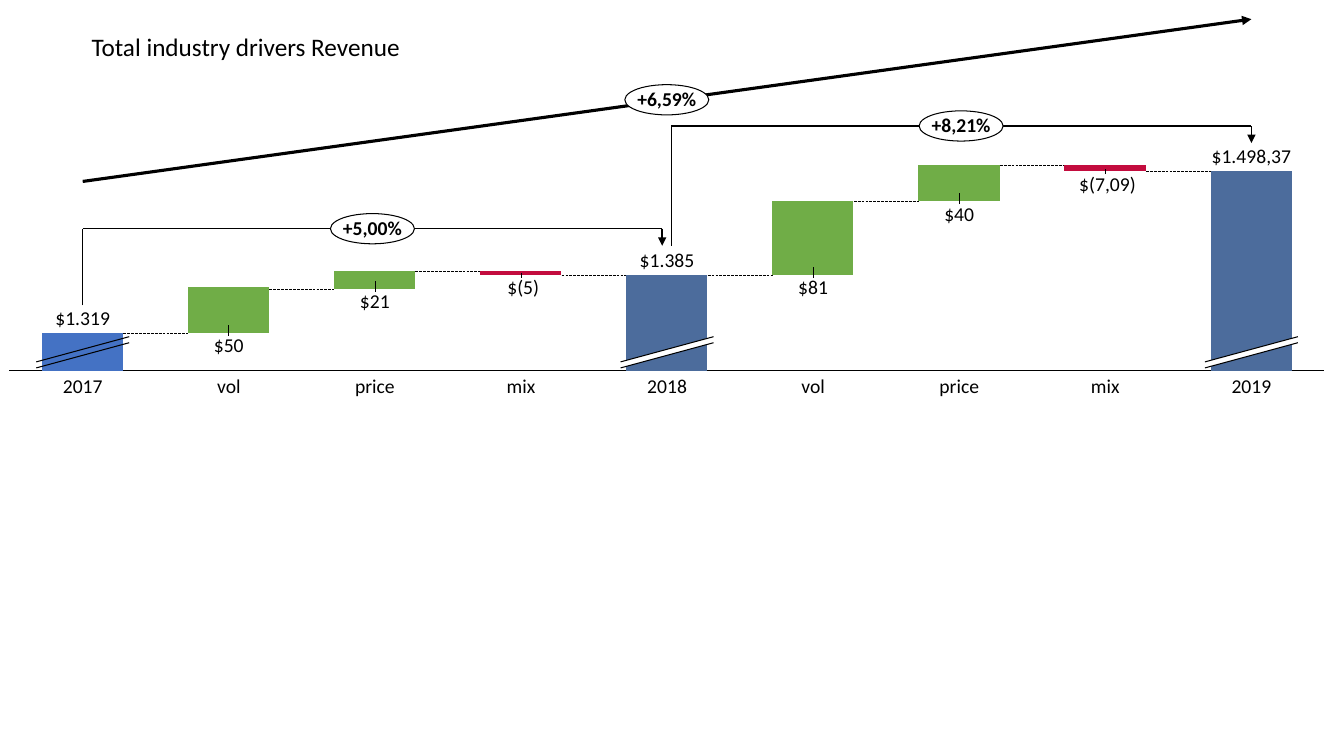
from dataclasses import dataclass

from pptx import Presentation
from pptx.chart.data import CategoryChartData
from pptx.dml.color import RGBColor
from pptx.enum.chart import XL_CHART_TYPE, XL_TICK_LABEL_POSITION, XL_TICK_MARK
from pptx.enum.dml import MSO_LINE
from pptx.enum.shapes import MSO_CONNECTOR, MSO_SHAPE
from pptx.enum.text import MSO_ANCHOR, MSO_AUTO_SIZE, PP_ALIGN
from pptx.oxml import parse_xml
from pptx.oxml.ns import nsdecls, qn
from pptx.util import Pt

STACKED = XL_CHART_TYPE.COLUMN_STACKED
NO_LABELS, NO_TICKS = XL_TICK_LABEL_POSITION.NONE, XL_TICK_MARK.NONE
STRAIGHT, ELLIPSE, DASH = MSO_CONNECTOR.STRAIGHT, MSO_SHAPE.OVAL, MSO_LINE.LONG_DASH
TOP, MIDDLE, BOTTOM = MSO_ANCHOR.TOP, MSO_ANCHOR.MIDDLE, MSO_ANCHOR.BOTTOM
CENTER, LEFT = PP_ALIGN.CENTER, PP_ALIGN.LEFT
GROW = MSO_AUTO_SIZE.SHAPE_TO_FIT_TEXT


@dataclass(frozen=True)
class Theme:
    font: str = "Calibri"
    black: RGBColor = RGBColor(0, 0, 0)
    white: RGBColor = RGBColor(255, 255, 255)
    first_total: RGBColor = RGBColor(0x44, 0x72, 0xC4)
    total: RGBColor = RGBColor(0x4C, 0x6C, 0x9C)
    rise: RGBColor = RGBColor(0x70, 0xAD, 0x47)
    fall: RGBColor = RGBColor(0xC3, 0x0C, 0x3E)
    title: int = 18
    label: int = 14
    chart: int = 10


T = Theme()

# Waterfall columns: category, its label width, value text, value label width
COLUMNS = [
    ("2017", 29.5, " $1.319 ", 49.7),
    ("vol", 18, " $50 ", 31.7),
    ("price", 29.5, " $21 ", 31.7),
    ("mix", 21.6, " $(5)", 29.5),
    ("2018", 29.5, " $1.385 ", 49.7),
    ("vol", 18, " $81 ", 31.7),
    ("price", 29.5, " $40 ", 31.7),
    ("mix", 21.6, " $(7,09)", 47.5),
    ("2019", 29.5, " $1.498,37 ", 67),
]
BASES = [19, 19, 41, 48, 48, 48, 85, 100, 100]
DELTAS = [None, 23, 9, 2, None, 37, 18, 3, None]
LINK_LEVELS = [19, 41, 50, 48, 48, 85, 103, 100]
AXIS_MAX = 103
TOTALS = [0, 4, 8]
FALLS = [3, 7]
FIRST_X, PITCH, BAR_W = 59.1, 104.35, 58
BASELINE, UNIT = 264.8, 1.426
LABEL_H = 15.1


def center_x(i):
    return FIRST_X + PITCH * i


def level_y(value):
    return BASELINE - UNIT * value


def apply(target, values):
    for name, value in values.items():
        setattr(target, name, value)


def paint(fill, color):
    fill.solid()
    fill.fore_color.rgb = color


def add_line(s, x1, y1, x2, y2, width, arrow=False, dash=None):
    c = s.shapes.add_connector(STRAIGHT, Pt(x1), Pt(y1), Pt(x2), Pt(y2))
    c.line.color.rgb = T.black
    c.line.width = Pt(width)
    if dash:
        c.line.dash_style = dash
    if arrow:
        c.line._get_or_add_ln().append(parse_xml(f'<a:tailEnd {nsdecls("a")} type="triangle"/>'))
    c._element.spPr.append(parse_xml(f'<a:effectLst {nsdecls("a")}/>'))


def write(sp, text, size=T.label, bold=False, anchor=TOP, align=CENTER, spacing=0.9):
    tf = sp.text_frame
    apply(tf, dict(margin_left=0, margin_right=0, margin_top=0, margin_bottom=0,
                   word_wrap=False, vertical_anchor=anchor))
    p = tf.paragraphs[0]
    apply(p, dict(alignment=align, line_spacing=spacing))
    r = p.add_run()
    r.text = text
    apply(r.font, dict(name=T.font, size=Pt(size), bold=bold))
    r.font.color.rgb = T.black


def add_label(s, text, cx, top, width, anchor=TOP):
    sp = s.shapes.add_textbox(Pt(cx - width / 2), Pt(top), Pt(width), Pt(LABEL_H))
    write(sp, text, anchor=anchor)


def add_growth(s, text, cx, cy, w=60, h=21.6):
    sp = s.shapes.add_shape(ELLIPSE, Pt(cx - w / 2), Pt(cy - h / 2), Pt(w), Pt(h))
    sp.shadow.inherit = False
    paint(sp.fill, T.white)
    sp.line.color.rgb = T.black
    sp.line.width = Pt(0.75)
    write(sp, text, bold=True, anchor=MIDDLE)


def add_outline(s, points, closed):
    fb = s.shapes.build_freeform(*map(Pt, points[0]), scale=1.0)
    fb.add_line_segments([(Pt(x), Pt(y)) for x, y in points[1:]], close=closed)
    sp = fb.convert_to_shape()
    sp.shadow.inherit = False
    if closed:
        paint(sp.fill, T.white)
        sp.line.fill.background()
    else:
        sp.fill.background()
        sp.line.color.rgb = T.black
        sp.line.width = Pt(0.75)


def add_axis_break(s, cx, filled):
    left, right = cx - 33.2, cx + 33.2
    upper = [(left, 258.5), (right, 240.5)]
    lower = [(left, 262.8), (right, 244.8)]
    if filled:
        add_outline(s, upper + lower[::-1], True)
    for edge in (upper, lower):
        add_outline(s, edge, False)


def add_bracket(s, x1, start, x2, top):
    add_line(s, x2, top, x2, top + 12.2, 1, arrow=True)
    add_line(s, x1, top, x2, top, 1)
    add_line(s, x1, start, x1, top, 1)


def add_waterfall(s):
    data = CategoryChartData()
    data.categories = [str(i + 1) for i in range(len(COLUMNS))]
    data.add_series("Series 1", BASES)
    data.add_series("Series 2", DELTAS)
    chart = s.shapes.add_chart(STACKED, Pt(0), Pt(111.6), Pt(952.6), Pt(159.8), data).chart
    apply(chart, dict(has_legend=False, has_title=False))
    apply(chart.font, dict(name=T.font, size=Pt(T.chart)))
    chart.font.color.rgb = T.black

    cat, val = chart.category_axis, chart.value_axis
    apply(cat, dict(tick_label_position=NO_LABELS, major_tick_mark=NO_TICKS,
                    minor_tick_mark=NO_TICKS, has_major_gridlines=False))
    cat.format.line.color.rgb = T.black
    cat.format.line.width = Pt(0.75)
    apply(val, dict(visible=False, has_major_gridlines=False,
                    minimum_scale=0, maximum_scale=AXIS_MAX))

    plot = chart.plots[0]
    apply(plot, dict(gap_width=80, overlap=100, vary_by_categories=False))
    base, delta = plot.series
    base.format.fill.background()
    paint(delta.format.fill, T.rise)
    for i in TOTALS:
        paint(base.points[i].format.fill, T.total if i else T.first_total)
    for i in FALLS:
        paint(delta.points[i].format.fill, T.fall)

    # Fixed inner plot area
    area = chart._chartSpace.chart.plotArea
    for old in area.findall(qn("c:layout")):
        area.remove(old)
    sizes = dict(x=0.007, y=0.041, w=0.986, h=0.919)
    places = "".join(f'<c:{k} val="{v}"/>' for k, v in sizes.items())
    area.insert(0, parse_xml(
        f'<c:layout {nsdecls("c")}><c:manualLayout><c:layoutTarget val="inner"/>'
        f'<c:xMode val="edge"/><c:yMode val="edge"/>{places}</c:manualLayout></c:layout>'))


def main():
    prs = Presentation()
    apply(prs, dict(slide_width=Pt(960), slide_height=Pt(540)))
    s = prs.slides.add_slide(prs.slide_layouts[6])

    # Links between bars, then the bars
    for i, level in enumerate(LINK_LEVELS):
        y = level_y(level)
        add_line(s, center_x(i) + BAR_W / 2, y, center_x(i + 1) - BAR_W / 2, y, 0.25, dash=DASH)
    add_waterfall(s)
    for i in TOTALS:
        add_axis_break(s, center_x(i), filled=i > 0)

    # Growth arrows
    add_bracket(s, center_x(0), 218.2, 473, 163.4)
    add_line(s, center_x(0), 129.6, center_x(8), 13.7, 2.25, arrow=True)
    add_bracket(s, 479.5, 175.7, center_x(8), 90)

    # Category and value labels
    for i, (name, name_w, value, value_w) in enumerate(COLUMNS):
        cx, y = center_x(i), level_y(BASES[i])
        add_label(s, name, cx, 269.3, name_w)
        if i in TOTALS:
            add_label(s, value, cx, y - 2.2 - LABEL_H, value_w, BOTTOM)
        else:
            add_line(s, cx, y + 2.2, cx, y - (1.5 if i in FALLS else 5.8), 0.5)
            add_label(s, value, cx, y + 2.2, value_w)

    # Growth rates and title
    for text, cx, cy in [("+5,00%", 266, 163.4), ("+6,59%", 476.3, 71.3), ("+8,21%", 686.5, 90)]:
        add_growth(s, text, cx, cy)
    title = s.shapes.add_textbox(Pt(58.3), Pt(18.7), Pt(486), Pt(29))
    write(title, "Total industry drivers Revenue", T.title, align=LEFT, spacing=1.0)
    apply(title.text_frame, dict(margin_left=Pt(7.2), margin_right=Pt(7.2), margin_top=Pt(3.6),
                                 margin_bottom=Pt(3.6), word_wrap=True, auto_size=GROW))
    prs.save("out.pptx")


if __name__ == "__main__":
    main()
